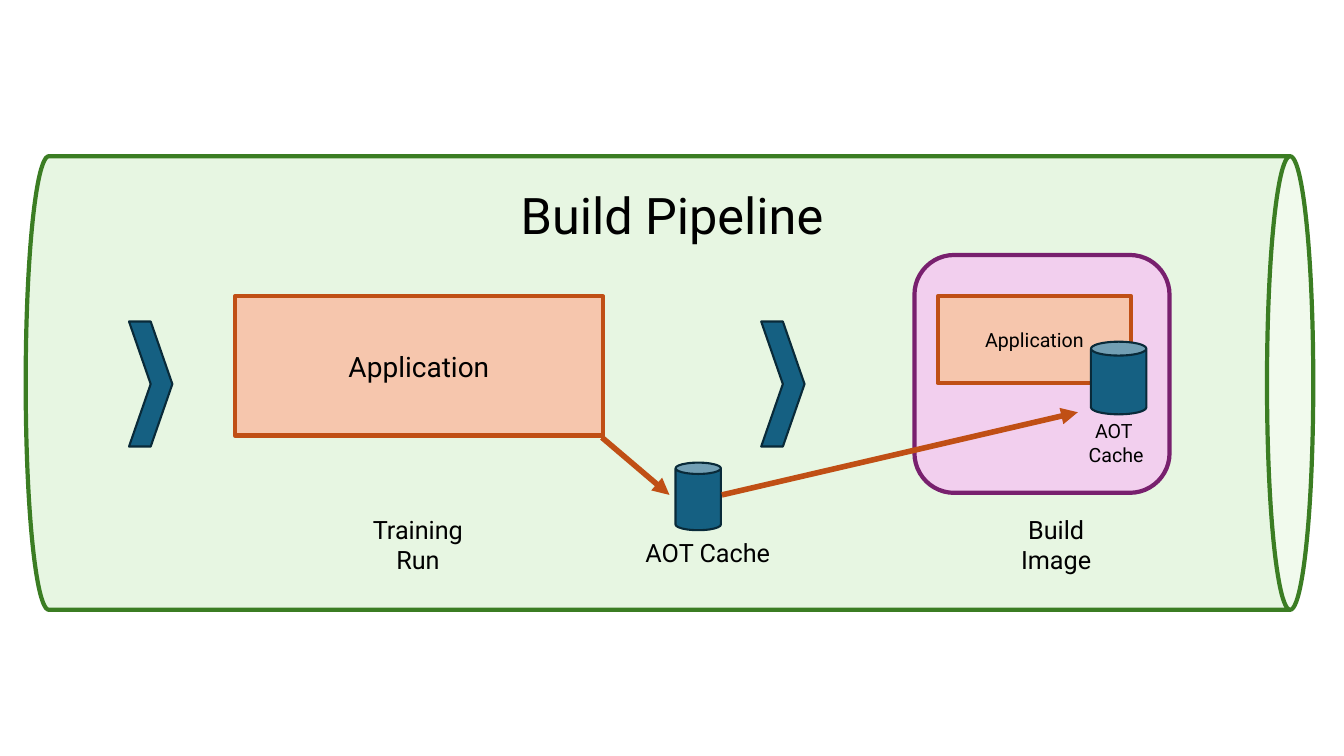
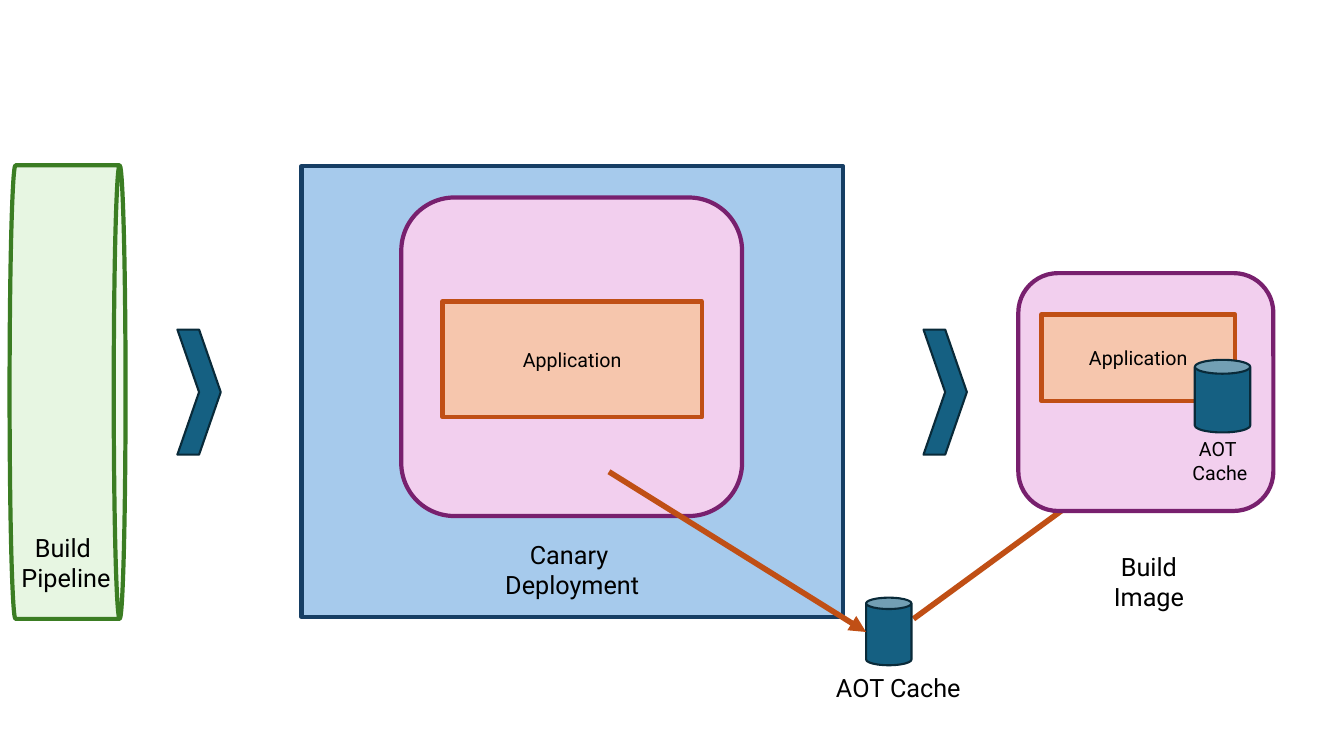
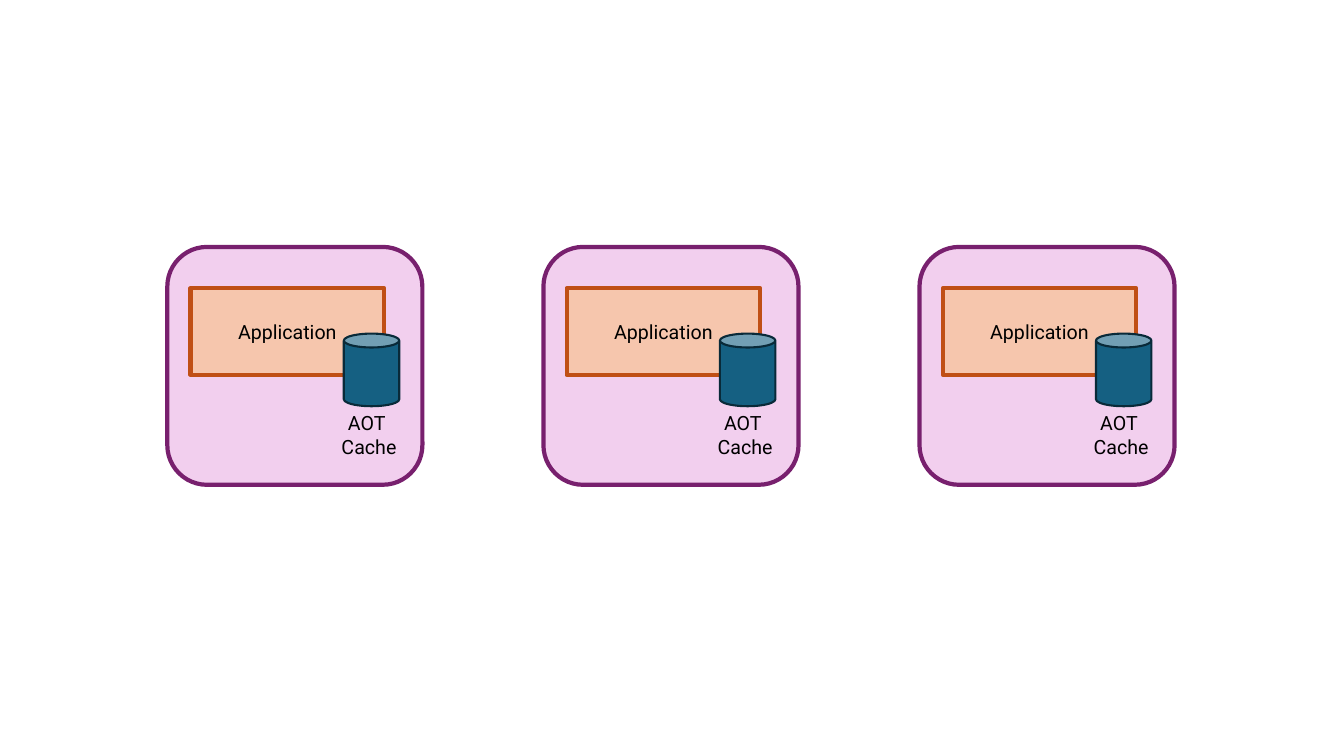
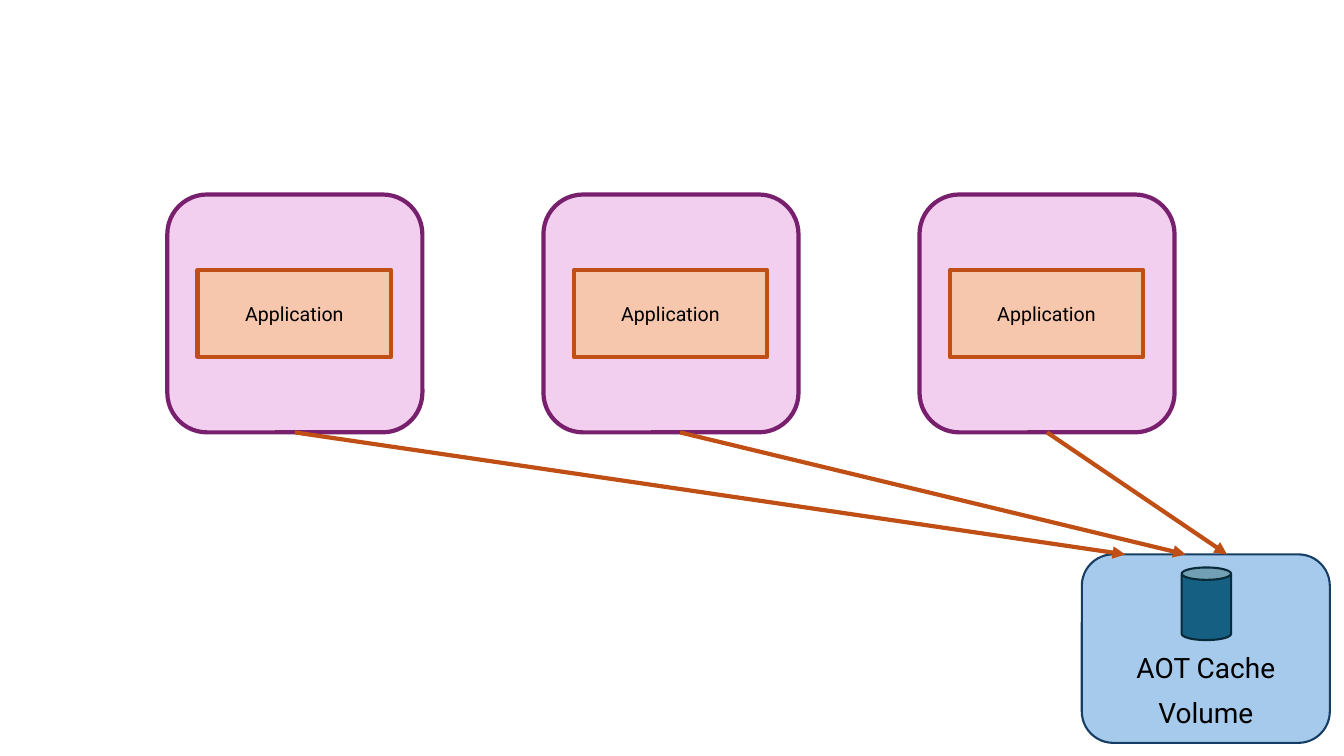
from lxml import etree
from pptx import Presentation
from pptx.dml.color import RGBColor
from pptx.enum import shapes, text
from pptx.oxml import ns
from pptx.util import Inches, Pt

FONT = "Roboto"
BLACK = "000000"
GREEN, DARK_GREEN = "B4E5A2", "3B7D23"
PEACH, ORANGE = "F6C6AD", "C04F15"
PINK, PURPLE = "F2CFEE", "78206E"
SKY, NAVY = "A6CAEC", "163E64"
TEAL, DARK_TEAL = "156082", "092A39"
IMAGE_W, IMAGE_H = 2.53, 2.36
COLUMNS = [1.66 + 3.73 * i for i in range(3)]
KINDS = shapes.MSO_SHAPE


def rgb(color):
    return RGBColor.from_string(color)


def write(tf, content, size=18, color=BLACK, anchor=text.MSO_ANCHOR.TOP):
    tf.word_wrap = True
    tf.vertical_anchor = anchor
    for i, line in enumerate(content.split("\n")):
        p = tf.paragraphs[0] if i == 0 else tf.add_paragraph()
        p.alignment = text.PP_ALIGN.CENTER
        r = p.add_run()
        r.text = line
        r.font.name = FONT
        r.font.size = Pt(size)
        r.font.color.rgb = rgb(color)


def label(parent, content, x, y, w, h, **style):
    box = parent.shapes.add_textbox(Inches(x), Inches(y), Inches(w), Inches(h))
    write(box.text_frame, content, **style)


def shape(parent, kind, x, y, w, h, fill, line, weight=3):
    sp = parent.shapes.add_shape(kind, Inches(x), Inches(y), Inches(w), Inches(h))
    sp.shadow.inherit = False
    sp.fill.solid()
    sp.fill.fore_color.rgb = rgb(fill)
    sp.line.color.rgb = rgb(line)
    sp.line.width = Pt(weight)
    return sp


def arrow(s, x1, y1, x2, y2, weight=4):
    line = s.shapes.add_connector(shapes.MSO_CONNECTOR.STRAIGHT,
                                  Inches(x1), Inches(y1), Inches(x2), Inches(y2))
    line.line.color.rgb = rgb(ORANGE)
    line.line.width = Pt(weight)
    ln = line.line._get_or_add_ln()
    etree.SubElement(ln, ns.qn("a:tailEnd"), type="triangle")
    etree.SubElement(line._element.spPr, ns.qn("a:effectLst"))
    return line


def pipeline(s, center_x, center_y, length):
    girth = 4.5
    sp = shape(s, KINDS.CAN, center_x - girth / 2, center_y - length / 2,
               girth, length, GREEN, DARK_GREEN)
    sp.rotation = 90
    sp.adjustments[0] = 0.102
    color = sp._element.spPr.find(ns.qn("a:solidFill"))[0]
    etree.SubElement(color, ns.qn("a:alpha"), val="31000")


def application(parent, x, y, w=1.92, h=0.86, size=14):
    sp = shape(parent, KINDS.RECTANGLE, x, y, w, h, PEACH, ORANGE)
    write(sp.text_frame, "Application", size=size, anchor=text.MSO_ANCHOR.MIDDLE)


def image_frame(parent, x, y, w=IMAGE_W, h=IMAGE_H):
    return shape(parent, KINDS.ROUNDED_RECTANGLE, x, y, w, h, PINK, PURPLE)


def cache(parent, x, y, w, h):
    shape(parent, KINDS.CAN, x, y, w, h, TEAL, DARK_TEAL, 1.5)


def chevron(s, x, y):
    shape(s, KINDS.CHEVRON, x, y, 0.43, 1.24, TEAL, DARK_TEAL, 1.5)


def cached_image(s, x, y):
    group = s.shapes.add_group_shape()
    image_frame(group, x, y)
    application(group, x + 0.23, y + 0.41)
    cache(group, x + 1.75, y + 0.86, 0.55, 0.72)
    label(group, "AOT \nCache", x + 1.29, y + 1.58, 1.42, 0.57, size=14)


def labelled_cache(s, x, y):
    group = s.shapes.add_group_shape()
    cache(group, x, y, 0.45, 0.67)
    label(group, "AOT Cache", x - 0.53, y + 0.69, 1.7, 0.38)


def stage(s, content, x, y):
    label(s, content, x, y, 3.15, 0.71)


def training_slide(s):
    pipeline(s, 6.64, 3.8, 12.77)
    application(s, 2.33, 2.94, 3.65, 1.38, size=20)
    arrow(s, 5.97, 4.34, 6.64, 4.91)
    label(s, "Build Pipeline", 3.97, 1.78, 5.39, 0.71, size=36)
    for x in (1.28, 7.55):
        chevron(s, x, 3.19)
    cached_image(s, 9.07, 2.53)
    stage(s, "Build\nImage", 8.9, 5.05)
    labelled_cache(s, 6.7, 4.59)
    arrow(s, 7.16, 4.91, 10.69, 4.09)
    stage(s, "Training\nRun", 2.57, 5.05)


def canary_slide(s):
    pipeline(s, 0.67, 3.89, 1.15)
    stage(s, "Build \nPipeline", -0.92, 5.23)
    for x in (1.76, 9.16):
        chevron(s, x, 3.27)
    stage(s, "Build\nImage", 9.82, 5.42)
    arrow(s, 9.06, 6.14, 11.85, 4.1)
    deployment = s.shapes.add_group_shape()
    shape(deployment, KINDS.RECTANGLE, 2.99, 1.65, 5.37, 4.47, SKY, NAVY)
    stage(deployment, "Canary \nDeployment", 4.1, 5.3)
    image_frame(deployment, 3.98, 1.96, 3.38, 3.16)
    application(deployment, 4.39, 2.99, 2.57, 1.15)
    labelled_cache(s, 8.59, 5.93)
    arrow(s, 6.04, 4.68, 8.59, 6.27)
    cached_image(s, 10.1, 2.71)


def bundled_slide(s):
    for x in COLUMNS:
        cached_image(s, x, 2.45)


def volume_slide(s):
    top = 1.93
    volume = shape(s, KINDS.ROUNDED_RECTANGLE, 10.73, 5.5, 2.46, 1.87, SKY, NAVY, 1.5)
    write(volume.text_frame, "Volume", size=20, anchor=text.MSO_ANCHOR.BOTTOM)
    cache(s, 11.72, 5.63, 0.49, 0.72)
    label(s, "AOT Cache", 11.16, 6.4, 1.6, 0.44, size=20)
    for x, shift, tip in zip(COLUMNS, (0, 0.09, 0), (11.16, 11.76, 12.17)):
        frame = image_frame(s, x, top)
        application(s, x + 0.3, top + 0.75)
        line = arrow(s, x + IMAGE_W / 2 + shift, top + IMAGE_H, tip, 5.5, weight=3)
        if not shift:
            line.begin_connect(frame, 2)


def main():
    prs = Presentation()
    prs.slide_width, prs.slide_height = Inches(13.33), Inches(7.5)
    for build in (training_slide, canary_slide, bundled_slide, volume_slide):
        build(prs.slides.add_slide(prs.slide_layouts[6]))
    prs.save("out.pptx")


if __name__ == "__main__":
    main()
